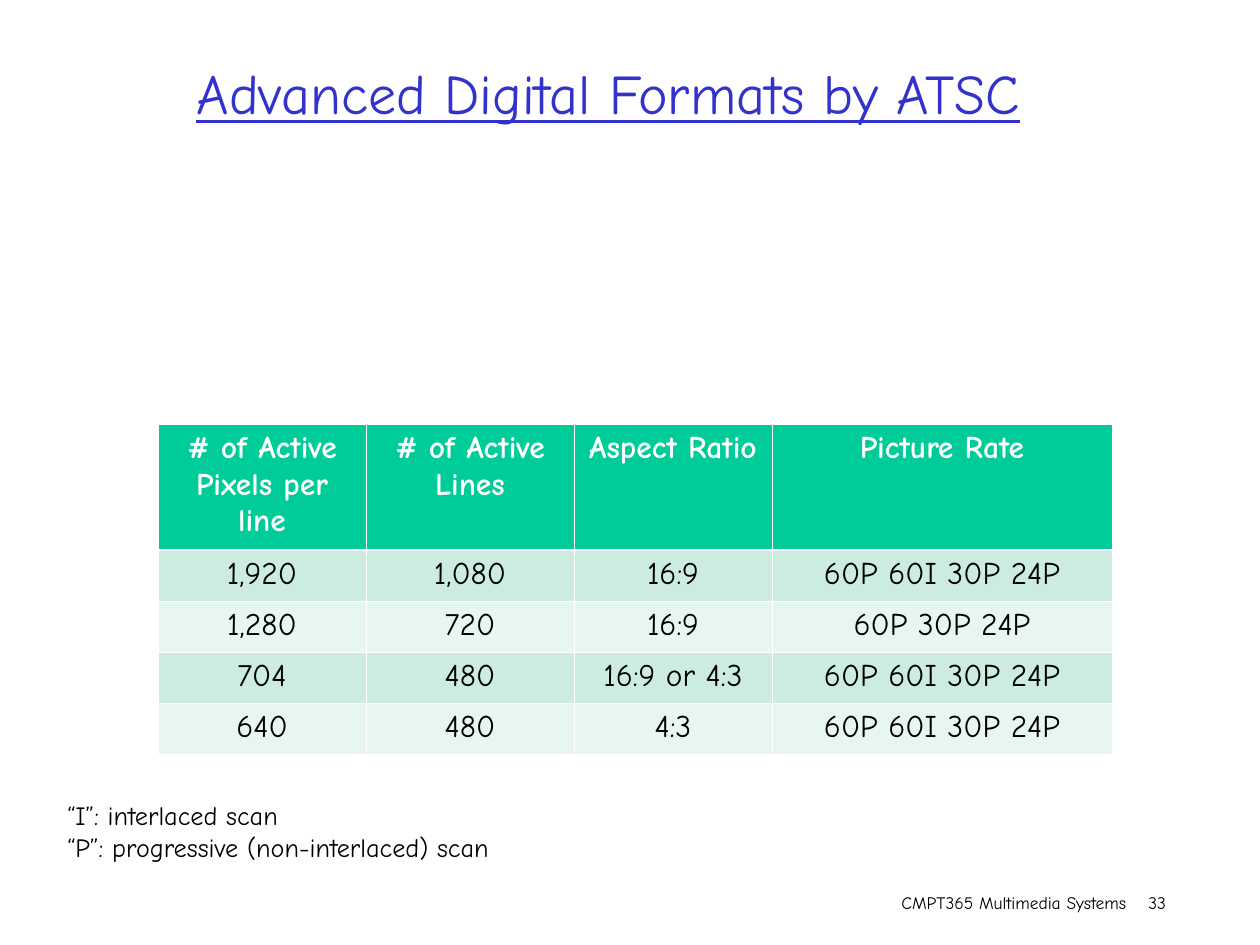
import pptx
import pptx.util
import pptx.dml.color
import pptx.enum.text
import pptx.oxml.ns
import lxml.etree

RGBColor = pptx.dml.color.RGBColor
ALIGN = pptx.enum.text.PP_ALIGN
ANCHOR = pptx.enum.text.MSO_ANCHOR
Pt = pptx.util.Pt
qn = pptx.oxml.ns.qn

BLUE = RGBColor(0x33, 0x33, 0xCC)
BLACK = RGBColor(0x00, 0x00, 0x00)
WHITE = RGBColor(0xFF, 0xFF, 0xFF)
GREEN = RGBColor(0x00, 0xCC, 0x99)
MINT = RGBColor(0xCB, 0xEC, 0xDE)
PALE = RGBColor(0xE7, 0xF6, 0xEF)

FONT = "Comic Neue"
COLS = [208, 208, 198, 340]
ROWS = [125, 51, 51, 51, 51]
DATA = [
    ["# of Active Pixels per line", "# of Active Lines", "Aspect Ratio", "Picture Rate"],
    ["1,920", "1,080", "16:9", "60P 60I 30P 24P"],
    ["1,280", "720", "16:9", "60P 30P 24P"],
    ["704", "480", "16:9 or 4:3", "60P 60I 30P 24P"],
    ["640", "480", "4:3", "60P 60I 30P 24P"],
]


def px(num):
    """Turn pixels into EMU."""
    return pptx.util.Emu(round(num * 914400 / 126))


def style(frame, size, color, align=ALIGN.LEFT, bold=False, under=False):
    """Format every paragraph and run of a text frame."""
    for para in frame.paragraphs:
        para.alignment = align
        for run in para.runs:
            font = run.font
            font.name = FONT
            font.size = Pt(size)
            font.color.rgb = color
            font.bold = bold
            font.underline = under


def add_text(slide, box, text, size, color, **look):
    """Add a wrapped text box and return its frame."""
    frame = slide.shapes.add_textbox(*map(px, box)).text_frame
    frame.word_wrap = True
    frame.text = text
    style(frame, size, color, **look)
    return frame


def add_tab(para, pos):
    """Set one left tab stop on a paragraph."""
    props = para._p.get_or_add_pPr()
    stops = lxml.etree.SubElement(props, qn("a:tabLst"))
    lxml.etree.SubElement(stops, qn("a:tab"), pos=str(px(pos)), algn="l")


def add_edge(cell, side, width):
    """Draw one white border of a cell."""
    props = cell._tc.get_or_add_tcPr()
    line = lxml.etree.SubElement(props, qn("a:ln" + side), w=str(Pt(width)))
    fill = lxml.etree.SubElement(line, qn("a:solidFill"))
    lxml.etree.SubElement(fill, qn("a:srgbClr"), val=str(WHITE))


def fill_cell(cell, text, row):
    """Give a cell its text, borders and row colour."""
    head = row == 0
    thick = {0: "B", 1: "T"}.get(row)
    for side in "LRTB":
        add_edge(cell, side, 1.5 if side == thick else 0.5)
    cell.fill.solid()
    cell.fill.fore_color.rgb = GREEN if head else (PALE, MINT)[row % 2]
    cell.text_frame.text = text
    style(cell.text_frame, 18, WHITE if head else BLACK, ALIGN.CENTER, head)


def add_grid(slide, left, top):
    """Add the table of formats."""
    box = map(px, (left, top, sum(COLS), sum(ROWS)))
    table = slide.shapes.add_table(len(ROWS), len(COLS), *box).table
    for col, width in zip(table.columns, COLS):
        col.width = px(width)
    for row, height in enumerate(ROWS):
        table.rows[row].height = px(height)
        for col, text in enumerate(DATA[row]):
            fill_cell(table.cell(row, col), text, row)


def main():
    """Build the slide and save it."""
    deck = pptx.Presentation()
    deck.slide_width, deck.slide_height = px(1260), px(945)
    slide = deck.slides.add_slide(deck.slide_layouts[6])
    foot = add_text(slide, (889, 886, 352, 34), "CMPT365 Multimedia Systems\t33", 10, BLACK)
    add_tab(foot.paragraphs[0], 247)
    notes = add_text(slide, (55, 799, 1134, 76),
                     "“I”: interlaced scan\n“P”: progressive (non-interlaced) scan", 15, BLACK)
    for para in notes.paragraphs:
        para.line_spacing = 0.8
    notes.paragraphs[1].space_before = Pt(4)
    add_grid(slide, 158, 424)
    title = add_text(slide, (73, 32, 1071, 120), "Advanced Digital Formats by ATSC",
                     32, BLUE, align=ALIGN.CENTER, under=True)
    title.vertical_anchor = ANCHOR.MIDDLE
    deck.save("out.pptx")


if __name__ == "__main__":
    main()
